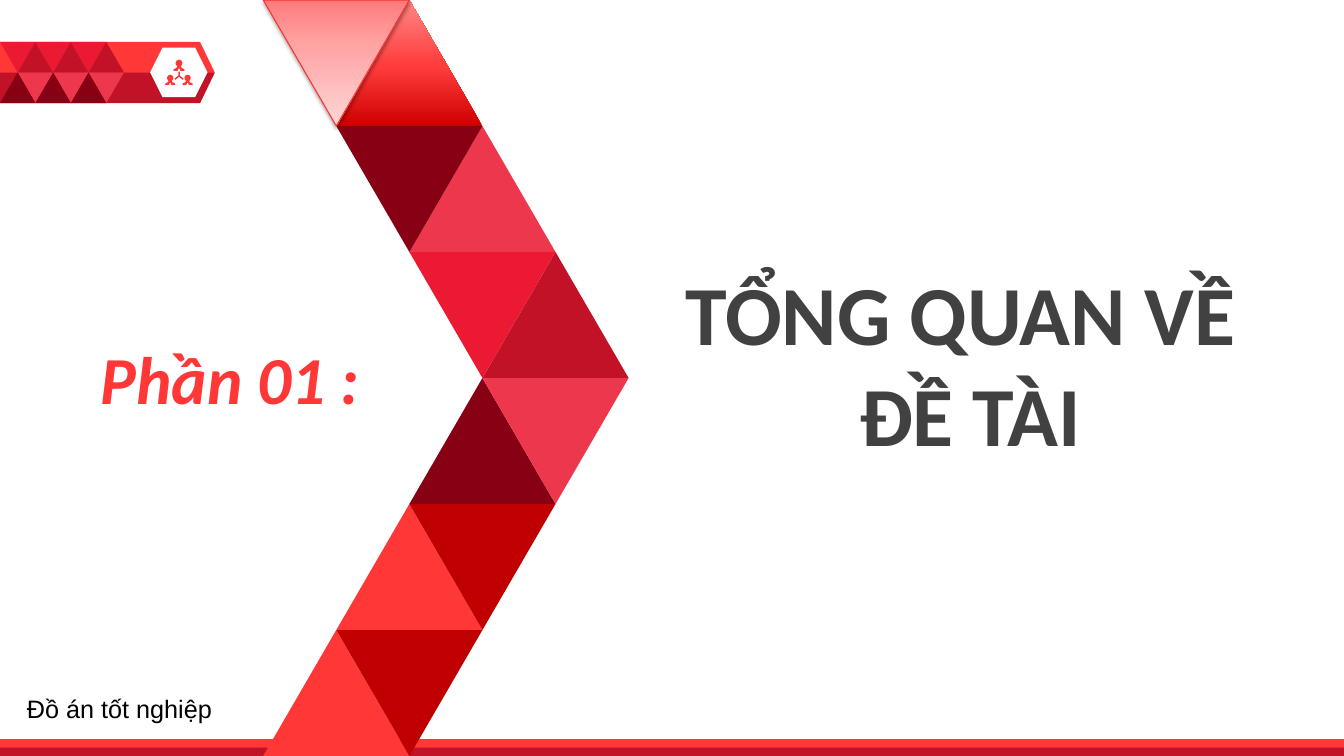
"""Builds the section-opening slide of a graduation project deck."""
from dataclasses import dataclass

from lxml import etree
from pptx import Presentation
from pptx.dml.color import RGBColor
from pptx.enum.shapes import MSO_SHAPE
from pptx.enum.text import MSO_ANCHOR, MSO_AUTO_SIZE, PP_ALIGN
from pptx.oxml.ns import qn
from pptx.util import Pt

TRIANGLE, HEXAGON = MSO_SHAPE.ISOSCELES_TRIANGLE, MSO_SHAPE.HEXAGON
PENTAGON, RECTANGLE = MSO_SHAPE.PENTAGON, MSO_SHAPE.RECTANGLE
TOP, NO_FIT = MSO_ANCHOR.TOP, MSO_AUTO_SIZE.NONE
LEFT, CENTER = PP_ALIGN.LEFT, PP_ALIGN.CENTER


@dataclass(frozen=True)
class Theme:
    """Colours, fonts and type sizes."""
    white: str = "FFFFFF"
    black: str = "000000"
    grey: str = "414141"
    bright: str = "FF3737"
    crimson: str = "C21227"
    scarlet: str = "EB1932"
    rose: str = "ED374D"
    maroon: str = "880014"
    red: str = "C00000"
    pale_edge: str = "FD3030"
    deep_fade: tuple = ((0, "CF0000"), (48, "FF3C3C"), (100, "FF8787"))
    pale_fade: tuple = ((0, "FF7A7B"), (35, "FFA3A3"), (100, "FFD6D6"))
    heading_font: str = "Calibri"
    footer_font: str = "Arial"
    title_size: int = 60
    part_size: int = 48
    footer_size: int = 18


THEME = Theme()
TITLE = ["TỔNG QUAN VỀ ", "ĐỀ TÀI"]
PART = ["Phần 01 :"]
FOOTER = ["Đồ án tốt nghiệp"]

CHEVRON_ROWS = [
    (THEME.deep_fade, THEME.pale_fade),
    (THEME.rose, THEME.maroon),
    (THEME.crimson, THEME.scarlet),
    (THEME.maroon, THEME.rose),
    (THEME.bright, THEME.red),
    (THEME.bright, THEME.red),
]
CHEVRON_LEFT, CHEVRON_WIDTH, CHEVRON_HEIGHT = 188, 104.4, 90

BADGE_TOP, BADGE_ROW, BADGE_WIDTH = 30, 21.8, 153.4
BADGE_STEP, BADGE_REPEATS = 25.3, 3
BADGE_TILES = [
    (0, 0, True, THEME.scarlet),
    (0.5, 0, False, THEME.crimson),
    (0.5, 1, True, THEME.rose),
    (0, 1, False, THEME.maroon),
]

PERSON_HALF = [(0, 0), (1.4, 0.5), (2.1, 1.5), (2.2, 2.8), (1.5, 4), (1, 4.6),
               (2.1, 5.6), (3.3, 6.1), (3.7, 7.2), (1, 7.4), (0.3, 5.8)]
PEOPLE = [(127.9, 42.6, 1.1), (121.6, 53.4, 1), (134, 53.4, 1)]
LINKS = [(127.4, 51.2), (128.4, 51.2), (128.4, 54), (131.2, 56.2), (130.5, 57),
         (127.9, 54.9), (125.3, 57), (124.6, 56.2), (127.4, 54)]


def rgb(code):
    """Return the colour of a hex code."""
    return RGBColor.from_string(code)


def paint(shape, colour):
    """Fill with one colour or a fade, without line or shadow."""
    shape.shadow.inherit = False
    shape.line.fill.background()
    if isinstance(colour, str):
        shape.fill.solid()
        shape.fill.fore_color.rgb = rgb(colour)
        return
    shape.fill.gradient()
    shape.fill.gradient_angle = 90
    stops = shape._element.spPr.find(".//" + qn("a:gsLst"))
    for stop in list(stops):
        stops.remove(stop)
    for position, code in colour:
        stop = etree.SubElement(stops, qn("a:gs"), pos=str(position * 1000))
        etree.SubElement(stop, qn("a:srgbClr"), val=code)


def add_preset(slide, kind, box, colour, adjustment=None):
    """Add a painted preset shape."""
    shape = slide.shapes.add_shape(kind, *map(Pt, box))
    if adjustment is not None:
        shape.adjustments[0] = adjustment
    paint(shape, colour)
    return shape


def add_triangle(slide, box, points_down, colour):
    """Add a triangle pointing up or down."""
    triangle = add_preset(slide, TRIANGLE, box, colour)
    triangle.rotation = 180 if points_down else 0
    return triangle


def add_outline(slide, points, colour):
    """Add a closed polygon."""
    corners = [(Pt(x), Pt(y)) for x, y in points]
    builder = slide.shapes.build_freeform(*corners[0])
    builder.add_line_segments(corners[1:], close=True)
    paint(builder.convert_to_shape(), colour)


def lift(triangle):
    """Give the palest triangle its edge and soft shadow."""
    triangle.line.color.rgb = rgb(THEME.pale_edge)
    triangle.line.width = Pt(0.75)
    effects = triangle._element.spPr.find(qn("a:effectLst"))
    shadow = etree.SubElement(effects, qn("a:outerShdw"), blurRad=str(Pt(3.1)),
                              dist=str(Pt(1.6)), dir="5400000", rotWithShape="0")
    shade = etree.SubElement(shadow, qn("a:srgbClr"), val=THEME.black)
    etree.SubElement(shade, qn("a:alpha"), val="37000")


def add_badge(slide):
    """Draw the pointed badge with its tiles and people."""
    middle, bottom = BADGE_TOP + BADGE_ROW, BADGE_TOP + 2 * BADGE_ROW
    add_preset(slide, PENTAGON, (0, BADGE_TOP, BADGE_WIDTH, 2 * BADGE_ROW),
               THEME.bright, 0.24)
    add_outline(slide, [(0, middle), (BADGE_WIDTH, middle),
                        (BADGE_WIDTH - 10.5, bottom), (0, bottom)], THEME.crimson)
    add_preset(slide, HEXAGON, (107.3, 34, 41, 35.5), THEME.white, 0.25)
    for centre, top, scale in PEOPLE:
        mirrored = [(-x, y) for x, y in PERSON_HALF[:0:-1]]
        add_outline(slide, [(centre + scale * x, top + scale * y)
                            for x, y in PERSON_HALF + mirrored], THEME.bright)
    add_outline(slide, LINKS, THEME.bright)
    for repeat in range(BADGE_REPEATS):
        for shift, row, points_down, colour in BADGE_TILES:
            box = ((repeat + shift) * BADGE_STEP, BADGE_TOP + row * BADGE_ROW,
                   BADGE_STEP, BADGE_ROW)
            add_triangle(slide, box, points_down, colour)


def add_chevron(slide):
    """Draw the large arrow of triangles."""
    for row, colours in enumerate(CHEVRON_ROWS):
        for points_down, colour in enumerate(colours):
            column = 3 - abs(row - 2 - points_down)
            box = (CHEVRON_LEFT + column * CHEVRON_WIDTH / 2, row * CHEVRON_HEIGHT,
                   CHEVRON_WIDTH, CHEVRON_HEIGHT)
            triangle = add_triangle(slide, box, bool(points_down), colour)
            if colour == THEME.pale_fade:
                lift(triangle)


def write(holder, lines, font, size, colour, align=LEFT, bold=False, italic=False):
    """Write formatted paragraphs into a text holder."""
    frame = holder.text_frame
    frame.word_wrap = True
    frame.auto_size = NO_FIT
    frame.vertical_anchor = TOP
    frame.text = "\n".join(lines)
    for paragraph in frame.paragraphs:
        paragraph.alignment = align
        paragraph.line_spacing = 1.0
        paragraph.space_before = Pt(0)
        paragraph.font.name = font
        paragraph.font.size = Pt(size)
        paragraph.font.bold = bold
        paragraph.font.italic = italic
        paragraph.font.color.rgb = rgb(colour)


def main():
    """Build and save the slide."""
    deck = Presentation()
    deck.slide_width, deck.slide_height = Pt(960), Pt(540)
    slide = deck.slides.add_slide(deck.slide_layouts[5])
    add_badge(slide)
    add_preset(slide, RECTANGLE, (0, 528, 960, 12), THEME.bright)
    add_preset(slide, RECTANGLE, (0, 534, 960, 6), THEME.crimson)
    add_chevron(slide)
    title = slide.shapes.title
    title.left, title.top, title.width, title.height = map(Pt, (405.4, 183, 575.3, 152.6))
    write(title, TITLE, THEME.heading_font, THEME.title_size, THEME.grey, CENTER, bold=True)
    part = slide.shapes.add_textbox(*map(Pt, (64.8, 237.6, 296.6, 65)))
    write(part, PART, THEME.heading_font, THEME.part_size, THEME.bright, bold=True, italic=True)
    footer = slide.shapes.add_textbox(*map(Pt, (12.2, 491.8, 203.8, 29)))
    write(footer, FOOTER, THEME.footer_font, THEME.footer_size, THEME.black)
    deck.save("out.pptx")


if __name__ == "__main__":
    main()
